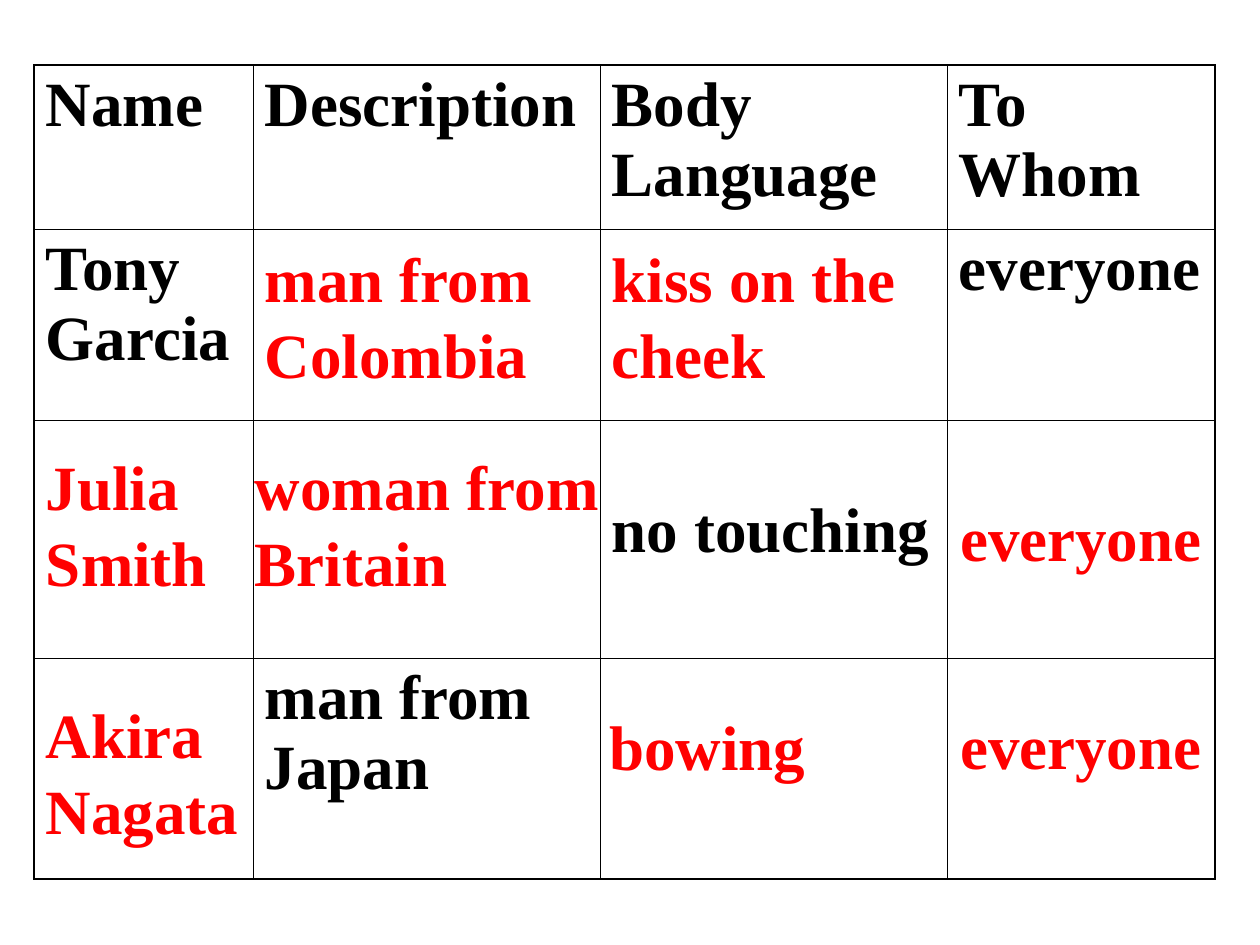
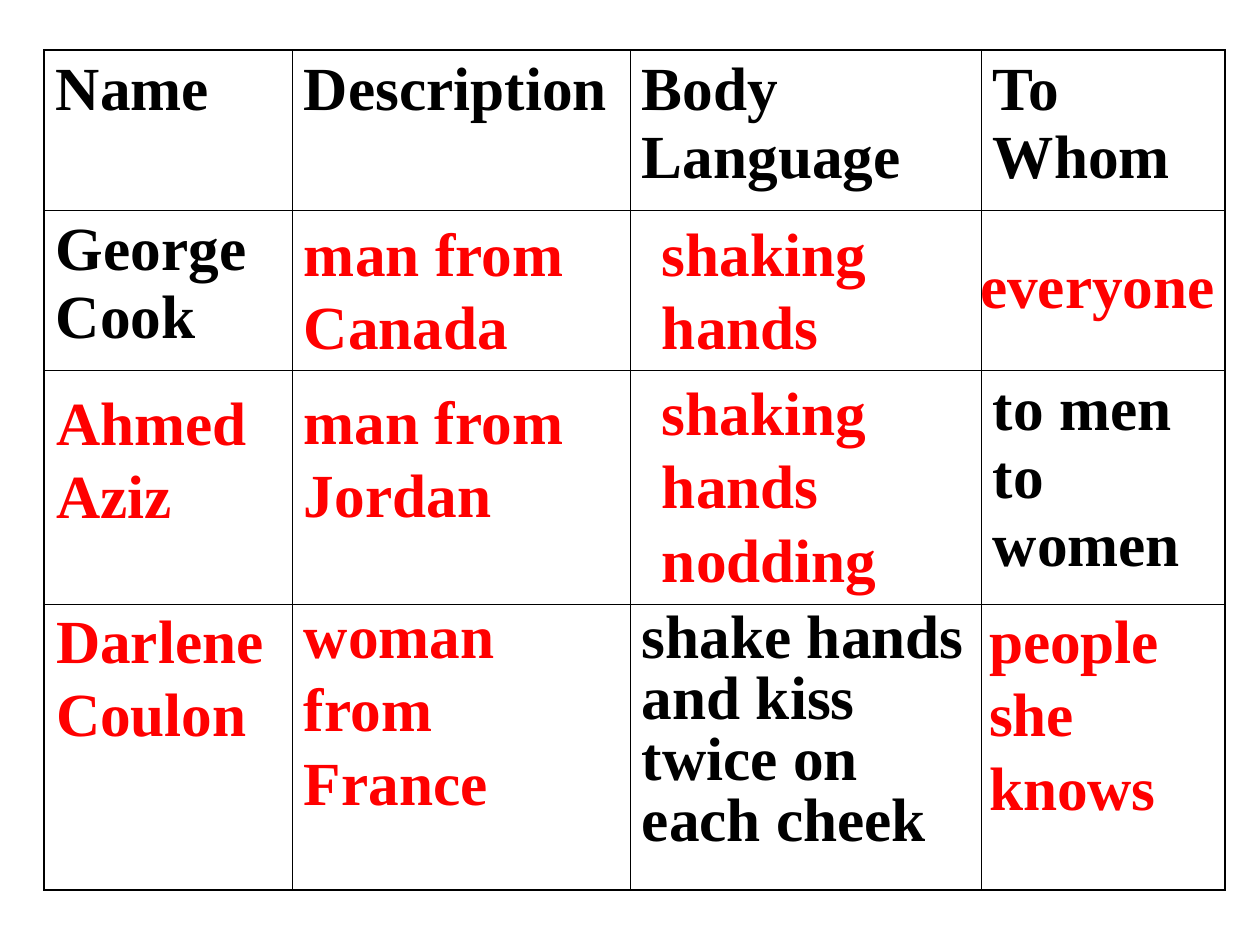
from lxml import etree
from pptx import Presentation
from pptx import util as u
from pptx.dml import color
from pptx.enum import text
from pptx.oxml import ns

SCALE = 914400 / 126
HEADINGS = ["Name", "Description", "Body Language", "To Whom"]


def emu(px):
    return u.Emu(round(px * SCALE))


def rgb(value):
    return color.RGBColor.from_string(value)


class Worksheet:
    """Style of the greeting tables and the page being filled."""

    font = "Times New Roman"
    ink = "000000"
    answer_ink = "FF0000"
    inner_line, outer_line = 0.45, 1.08
    inset_x, inset_y = 12, 6

    def __init__(self):
        self.deck = Presentation()
        self.deck.slide_width, self.deck.slide_height = emu(1260), emu(945)
        self.page = None
        self.size = None

    def new_page(self, size):
        self.page = self.deck.slides.add_slide(self.deck.slide_layouts[6])
        self.size = size

    def add_lines(self, frame, lines, ink, spacing=None, align=text.PP_ALIGN.LEFT):
        for index, line in enumerate(lines):
            para = frame.add_paragraph() if index else frame.paragraphs[0]
            para.alignment = align
            para.line_spacing = spacing
            span = para.add_run()
            span.text = line
            span.font.name = self.font
            span.font.size = u.Pt(self.size)
            span.font.bold = True
            span.font.color.rgb = rgb(ink)

    def border(self, cell, side, width):
        properties = cell._tc.get_or_add_tcPr()
        line = etree.SubElement(properties, ns.qn(f"a:ln{side}"), w=str(u.Pt(width)))
        fill = etree.SubElement(line, ns.qn("a:solidFill"))
        etree.SubElement(fill, ns.qn("a:srgbClr"), val=self.ink)

    def table(self, left, top, widths, heights, entries):
        """Draw the grid; entries maps (row, column) to the lines given in it."""
        grid = self.page.shapes.add_table(
            len(heights), len(widths), emu(left), emu(top),
            emu(sum(widths)), emu(sum(heights))).table
        grid.first_row = grid.horz_banding = False
        for column, width in zip(grid.columns, widths):
            column.width = emu(width)
        for row, height in zip(grid.rows, heights):
            row.height = emu(height)

        entries = {(0, c): [name] for c, name in enumerate(HEADINGS)} | entries
        last_row, last_column = len(heights) - 1, len(widths) - 1
        for r in range(len(heights)):
            for c in range(len(widths)):
                cell = grid.cell(r, c)
                edges = {"L": c == 0, "R": c == last_column,
                         "T": r == 0, "B": r == last_row}
                for side, is_outer in edges.items():
                    self.border(cell, side,
                                self.outer_line if is_outer else self.inner_line)
                cell.fill.background()
                cell.margin_left = cell.margin_right = emu(self.inset_x)
                cell.margin_top = cell.margin_bottom = emu(self.inset_y)
                if (r, c) in entries:
                    self.add_lines(cell.text_frame, entries[r, c], self.ink)
        return grid

    def answer(self, left, top, width, height, *lines, centred=False):
        box = self.page.shapes.add_textbox(
            emu(left), emu(top), emu(width), emu(height))
        frame = box.text_frame
        frame.word_wrap = not centred
        frame.margin_left = frame.margin_right = emu(self.inset_x)
        frame.margin_top = frame.margin_bottom = emu(self.inset_y)
        align = text.PP_ALIGN.CENTER if centred else text.PP_ALIGN.LEFT
        self.add_lines(frame, lines, self.answer_ink, u.Pt(1.2 * self.size), align)


def first_page(sheet):
    sheet.new_page(36)
    grid = sheet.table(34, 65, [219, 347, 347, 268], [164, 191, 238, 221], {
        (1, 0): ["Tony Garcia"],
        (1, 3): ["everyone"],
        (2, 2): ["no touching"],
        (3, 1): ["man from Japan"],
    })
    grid.cell(2, 2).margin_top = emu(76)
    sheet.answer(253, 234, 348, 179, "man from", "Colombia")
    sheet.answer(600, 234, 367, 179, "kiss on the", "cheek")
    sheet.answer(597, 702, 221, 88, "bowing", centred=True)
    for top in (701, 493):
        sheet.answer(948, top, 266, 88, "everyone", centred=True)
    sheet.answer(34, 442, 248, 164, "Julia", "Smith")
    sheet.answer(34, 690, 238, 179, "Akira", "Nagata")
    sheet.answer(243, 442, 377, 179, "woman from", "Britain")


def second_page(sheet):
    sheet.new_page(35)
    grid = sheet.table(44, 50, [248, 338, 351, 244], [160, 160, 234, 286], {
        (1, 0): ["George Cook"],
        (2, 3): ["to men", "to women"],
        (3, 2): ["shake hands and kiss twice on each cheek"],
    })
    grid.cell(3, 2).text_frame.paragraphs[0].line_spacing = 0.9
    sheet.answer(292, 209, 348, 160, "man from", "Canada")
    sheet.answer(650, 209, 377, 160, "shaking", "hands")
    sheet.answer(650, 368, 417, 233, "shaking", "hands", "nodding")
    sheet.answer(44, 378, 248, 160, "Ahmed", "Aziz")
    sheet.answer(44, 596, 258, 160, "Darlene", "Coulon")
    sheet.answer(292, 377, 377, 160, "man from", "Jordan")
    sheet.answer(968, 241, 259, 87, "everyone", centred=True)
    sheet.answer(292, 591, 278, 233, "woman", "from", "France")
    sheet.answer(977, 596, 223, 233, "people she", "knows")


def main():
    sheet = Worksheet()
    first_page(sheet)
    second_page(sheet)
    sheet.deck.save("out.pptx")


if __name__ == "__main__":
    main()
